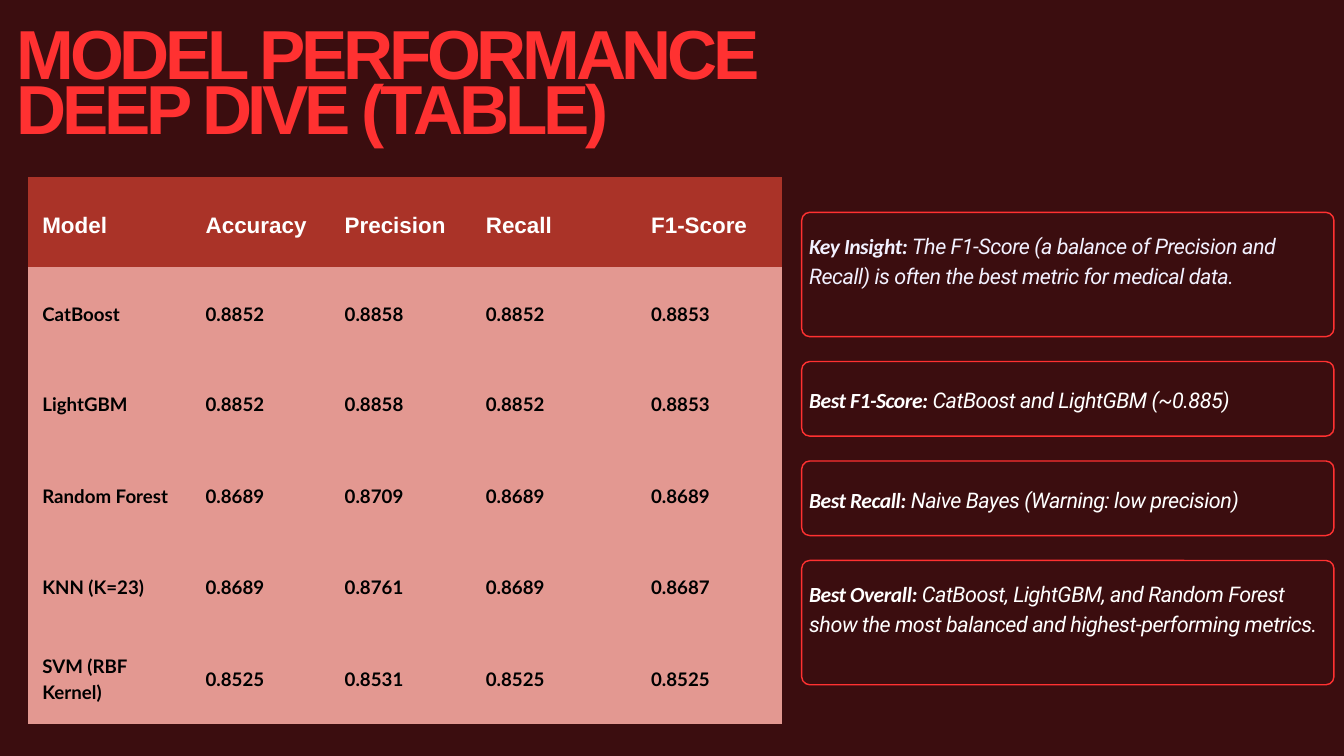
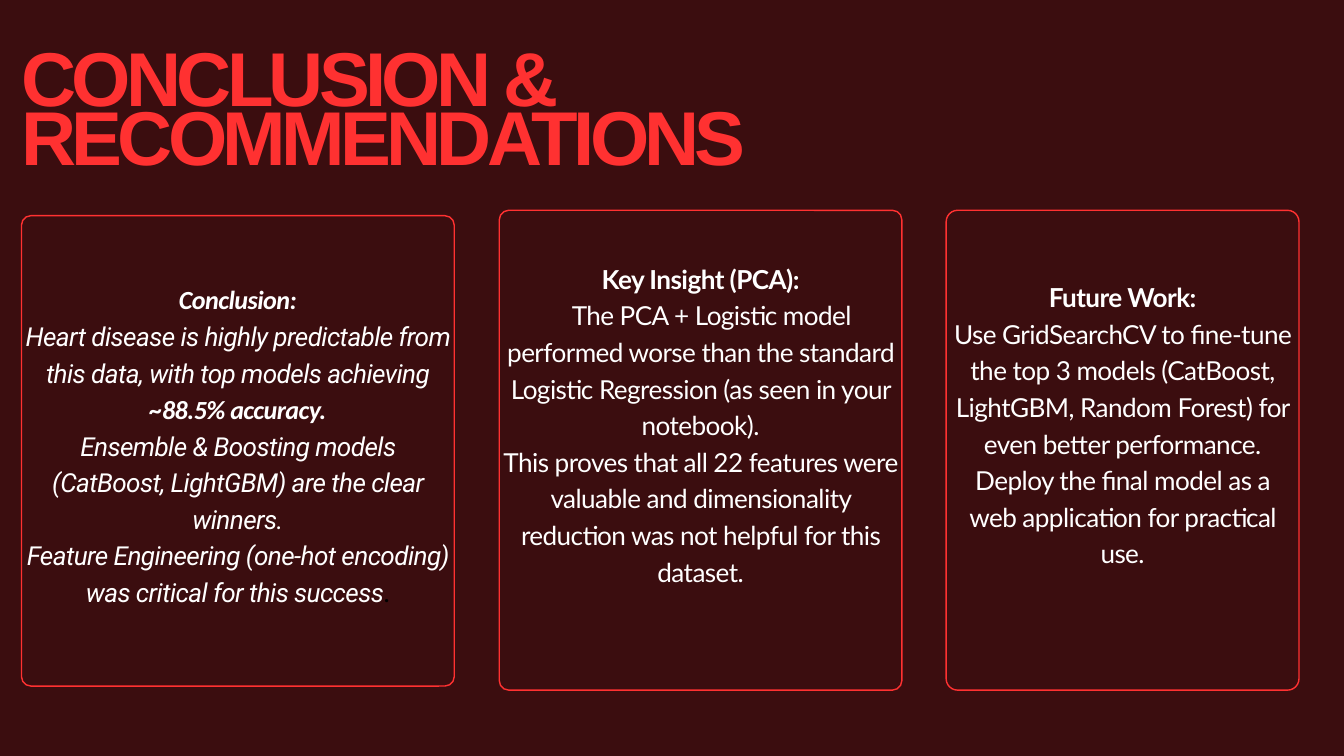
import dataclasses

import pptx
import pptx.dml.color
import pptx.enum.shapes
import pptx.enum.text
import pptx.util

ALIGN = pptx.enum.text.PP_ALIGN
ANCHOR = pptx.enum.text.MSO_ANCHOR
Pt = pptx.util.Pt
NO_GRID_STYLE = "{2D5ABB26-0587-4C30-8999-92F81FD0307C}"


@dataclasses.dataclass(frozen=True)
class Type:
    font: str
    size: float
    leading: float
    color: str = "FFFFFF"
    bold: bool = False
    italic: bool = False
    tracking: float = 0

    def but(self, **changes):
        return dataclasses.replace(self, **changes)


class Theme:
    background = "3B0D0F"
    accent = "FF3131"
    header_fill = "AA3328"
    body_fill = "E39891"
    pale = "F2F1FF"
    outline = 1.5

    title = Type("Arial", 74.3, 58, accent, bold=True, tracking=-4.6)
    big_title = title.but(size=81.7, leading=63.7, tracking=-5.1)
    table_head = Type("Arial", 24, 33.6, bold=True)
    table_body = Type("Lato", 20, 28, "000000", bold=True)
    note = Type("Roboto", 23.1, 32.4, italic=True, tracking=-0.5)
    note_lead = note.but(font="Calibri", bold=True)
    card = Type("Lato", 28, 39.2, tracking=-0.6)
    card_head = card.but(bold=True)
    card_slant = card.but(font="Roboto", italic=True)
    card_slant_head = card_slant.but(font="Calibri", bold=True)
    card_stop = card.but(color="000000")


def rgb(value):
    return pptx.dml.color.RGBColor.from_string(value)


class Deck:
    """Draws on the current slide, on a grid of 20 columns by 11.25 rows."""

    columns, rows = 20, 11.25

    def __init__(self, theme):
        self.theme = theme
        self.prs = pptx.Presentation()
        self.prs.slide_width = pptx.util.Inches(20)
        self.prs.slide_height = pptx.util.Inches(11.25)
        self.s = None

    def x(self, columns):
        return round(self.prs.slide_width * columns / self.columns)

    def y(self, rows):
        return round(self.prs.slide_height * rows / self.rows)

    def place(self, left, top, width, height):
        return self.x(left), self.y(top), self.x(width), self.y(height)

    def add_slide(self):
        self.s = self.prs.slides.add_slide(self.prs.slide_layouts[6])
        fill = self.s.background.fill
        fill.solid()
        fill.fore_color.rgb = rgb(self.theme.background)

    def style(self, p, r, kind):
        p.line_spacing = Pt(kind.leading)
        font = r.font
        font.name, font.size = kind.font, Pt(kind.size)
        font.bold, font.italic = kind.bold, kind.italic
        font.color.rgb = rgb(kind.color)
        if kind.tracking:
            r._r.get_or_add_rPr().set("spc", str(round(kind.tracking * 100)))

    def text(self, box, paragraphs, align=ALIGN.LEFT, anchor=ANCHOR.TOP,
             insets=(0, 0, 0), indents=None):
        """Each paragraph is a list of (words, type); insets are side, top, bottom."""
        tf = self.s.shapes.add_textbox(*self.place(*box)).text_frame
        tf.word_wrap = True
        tf.vertical_anchor = anchor
        side, top, bottom = insets
        tf.margin_left = tf.margin_right = self.x(side)
        tf.margin_top, tf.margin_bottom = self.y(top), self.y(bottom)
        for i, runs in enumerate(paragraphs):
            p = tf.add_paragraph() if i else tf.paragraphs[0]
            p.alignment = align
            if indents and i in indents:
                p._p.get_or_add_pPr().set("indent", str(self.x(indents[i])))
            for words, kind in runs:
                r = p.add_run()
                r.text = words
                self.style(p, r, kind)

    def title(self, box, words, kind):
        self.text(box, [[(words, kind)]])

    def panel(self, box, radius):
        sp = self.s.shapes.add_shape(
            pptx.enum.shapes.MSO_SHAPE.ROUNDED_RECTANGLE, *self.place(*box))
        sp.adjustments[0] = radius / min(box[2:])
        sp.shadow.inherit = False
        sp.fill.solid()
        sp.fill.fore_color.rgb = rgb(self.theme.background)
        sp.line.color.rgb = rgb(self.theme.accent)
        sp.line.width = Pt(self.theme.outline)

    def note(self, left, top, width, height, lead, words, lines, color="FFFFFF"):
        self.panel((left, top, width, height), 0.12)
        text_height = 0.43 + 0.9 * (lines - 1)
        text_top = top + (height - text_height) / 2 - 0.02
        runs = [(lead, self.theme.note_lead.but(color=color)),
                (words, self.theme.note.but(color=color))]
        self.text((left + 0.11, text_top, 7.72, text_height), [runs])

    def card(self, box, radius, rise, paragraphs, top_gap=0.06, indents=None):
        """The text area starts higher than the panel by rise."""
        left, top, width, height = box
        self.panel(box, radius)
        self.text((left, top - rise, width, height + rise), paragraphs,
                  ALIGN.CENTER, ANCHOR.MIDDLE, (0.06, top_gap, 0.6), indents)

    def table(self, left, top, widths, heights, data):
        box = self.place(left, top, sum(widths), sum(heights))
        gf = self.s.shapes.add_table(len(heights), len(widths), *box)
        gf.element.xpath(".//a:tableStyleId")[0].text = NO_GRID_STYLE
        table = gf.table
        table.first_row = table.horz_banding = False
        for column, width in zip(table.columns, widths):
            column.width = self.x(width)
        for row, height in zip(table.rows, heights):
            row.height = self.y(height)
        for i, values in enumerate(data):
            for j, value in enumerate(values):
                self.cell(table.cell(i, j), value, head=i == 0, label=j == 0)

    def cell(self, cell, value, head, label):
        theme = self.theme
        cell.fill.solid()
        cell.fill.fore_color.rgb = rgb(theme.header_fill if head else theme.body_fill)
        cell.vertical_anchor = ANCHOR.MIDDLE
        cell.margin_left = cell.margin_right = self.x(0.21)
        cell.margin_top = cell.margin_bottom = self.y(0.21)
        cell.text_frame.text = value
        p = cell.text_frame.paragraphs[0]
        p.alignment = ALIGN.LEFT if label else ALIGN.JUSTIFY
        self.style(p, p.runs[0], theme.table_head if head else theme.table_body)


SCORES = [
    ("Model", "Accuracy", "Precision", "Recall", "F1-Score"),
    ("CatBoost", "0.8852", "0.8858", "0.8852", "0.8853"),
    ("LightGBM", "0.8852", "0.8858", "0.8852", "0.8853"),
    ("Random Forest", "0.8689", "0.8709", "0.8689", "0.8689"),
    ("KNN (K=23)", "0.8689", "0.8761", "0.8689", "0.8687"),
    ("SVM (RBF Kernel)", "0.8525", "0.8531", "0.8525", "0.8525"),
]

NOTES = [
    ("Key Insight: ", "The F1-Score (a balance of Precision and Recall) is often "
     "the best metric for medical data.", 2, Theme.pale),
    ("Best F1-Score: ", "CatBoost and LightGBM (~0.885)", 1),
    ("Best Recall: ", "Naive Bayes (Warning: low precision)", 1),
    ("Best Overall: ", "CatBoost, LightGBM, and Random Forest show the most "
     "balanced and highest-performing metrics.", 2),
]


def performance_slide(deck):
    deck.add_slide()
    deck.table(0.42, 2.64, [2.43, 2.07, 2.1, 2.46, 2.15],
               [1.34, 1.34, 1.34, 1.39, 1.34, 1.39], SCORES)
    deck.title((0.25, 0.59, 11.67, 1.8), "MODEL PERFORMANCE DEEP DIVE (TABLE)",
               deck.theme.title)
    top, gap = 3.16, 0.37
    for lead, words, lines, *color in NOTES:
        height = 0.37 + 0.74 * lines
        deck.note(11.93, top, 7.92, height, lead, words, lines, *color)
        top += height + gap


def conclusion_slide(deck):
    theme = deck.theme
    deck.add_slide()
    deck.title((0.32, 0.92, 13.3, 1.97), "CONCLUSION & RECOMMENDATIONS",
               theme.big_title)
    slant, slant_head = theme.card_slant, theme.card_slant_head
    deck.card((0.32, 3.21, 6.44, 7), 0.14, 0.2, [
        [("Conclusion:", slant_head)],
        [("Heart disease is highly predictable from this data, with top models "
          "achieving", slant), (" ~88.5% accuracy.", slant_head)],
        [("Ensemble & Boosting models (CatBoost, LightGBM) are the clear "
          "winners.", slant)],
        [("Feature Engineering (one-hot encoding) was critical for this success",
          slant), (".", theme.card_stop)],
    ], top_gap=0.57)
    deck.card((7.43, 3.13, 5.99, 7.14), 0.14, 0.28, [
        [("Key Insight (PCA):", theme.card_head)],
        [("The PCA + Logistic model performed worse than the standard Logistic "
          "Regression (as seen in your notebook).", theme.card)],
        [("This proves that all 22 features were valuable and dimensionality "
          "reduction was not helpful for this dataset.", theme.card)],
    ], indents={1: 0.32})
    deck.card((14.08, 3.13, 5.25, 7.14), 0.17, 0.28, [
        [("Future Work:", theme.card_head)],
        [("Use GridSearchCV to fine-tune the top 3 models (CatBoost, LightGBM, "
          "Random Forest) for even better performance.", theme.card)],
        [("Deploy the final model as a web application for practical use.",
          theme.card)],
    ])


def main():
    deck = Deck(Theme())
    performance_slide(deck)
    conclusion_slide(deck)
    deck.prs.save("out.pptx")


if __name__ == "__main__":
    main()
